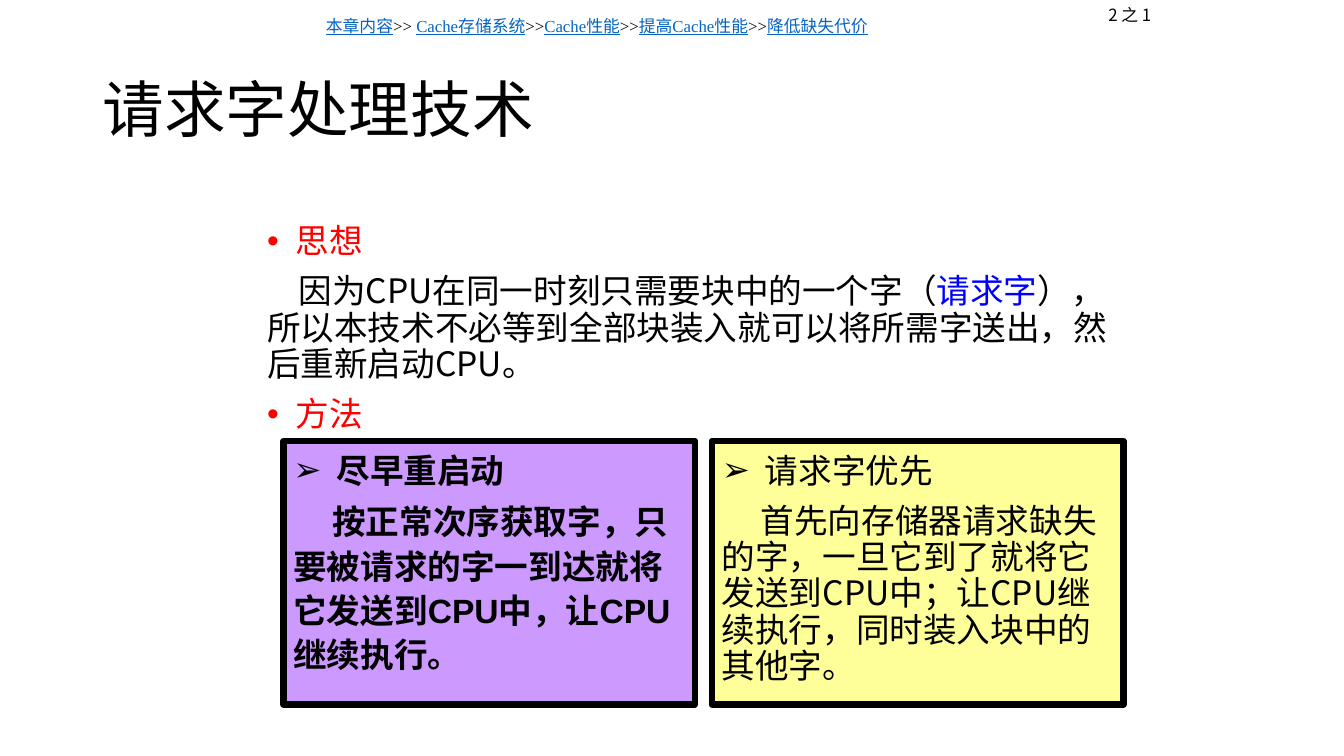
from pptx import Presentation
from pptx.dml.color import RGBColor
from pptx.enum.shapes import MSO_SHAPE
from pptx.enum.text import MSO_ANCHOR as Anchor, PP_ALIGN as Align
from pptx.oxml.ns import qn
from pptx.util import Emu, Pt
from lxml.etree import SubElement

PX = 9525  # EMU per px, slide is 1280 x 720 px
SANS = "Noto Sans CJK SC"
BLACK, RED, BLUE, LINK = "000000", "FF0000", "0000FF", "0563C1"


def px(length):
    return Emu(length * PX)


def color(value):
    return RGBColor.from_string(value)


def place(shape, box):
    shape.left, shape.top, shape.width, shape.height = map(px, box)


def add_run(paragraph, text, size, tone=BLACK, font=SANS, bold=False, underline=False):
    run = paragraph.add_run()
    run.text = text
    run.font.size, run.font.name = Pt(size), font
    run.font.bold, run.font.underline = bold, underline
    run.font.color.rgb = color(tone)
    SubElement(run.font._element, qn("a:ea"), typeface=SANS)


def set_indent(paragraph, left, first):
    properties = paragraph._p.get_or_add_pPr()
    properties.set("marL", str(px(left)))
    properties.set("indent", str(px(first)))
    return properties


def set_bullet(paragraph, char, tone, hanging):
    properties = set_indent(paragraph, hanging, -hanging)
    bullet_color = SubElement(properties, qn("a:buClr"))
    SubElement(bullet_color, qn("a:srgbClr"), val=tone)
    SubElement(properties, qn("a:buFont"), typeface="Arial")
    SubElement(properties, qn("a:buChar"), char=char)


def next_paragraph(frame, spacing, before):
    """Return the empty first paragraph, or a new one with space before it."""
    paragraph = frame.paragraphs[0]
    if paragraph.runs:
        paragraph = frame.add_paragraph()
        paragraph.space_before = Pt(before)
    paragraph.alignment = Align.LEFT
    paragraph.line_spacing = spacing
    return paragraph


def add_text_box(slide, box):
    shape = slide.shapes.add_textbox(*map(px, box))
    shape.text_frame.word_wrap = True
    return shape.text_frame


def add_title(slide, text):
    title = slide.shapes.title
    place(title, (88, 38, 1104, 139))
    title.text_frame.vertical_anchor = Anchor.MIDDLE
    add_run(next_paragraph(title.text_frame, 0.9, 0), text, 44)


def add_idea(slide):
    frame = add_text_box(slide, (245, 209, 843, 211))

    def heading(text):
        paragraph = next_paragraph(frame, 0.9, 10)
        set_bullet(paragraph, "•", RED, 27)
        add_run(paragraph, text, 24, RED)

    heading("思想")
    reason = next_paragraph(frame, 0.9, 10)
    set_indent(reason, 0, 30)
    add_run(reason, "因为CPU在同一时刻只需要块中的一个字（", 24)
    add_run(reason, "请求字", 24, BLUE)
    add_run(reason, "），所以本技术不必等到全部块装入就可以将所需字送出，然后重新启动CPU。", 24)
    heading("方法")


def add_method(slide, left, fill, heading, text, spacing, before, font=SANS, bold=False):
    shape = slide.shapes.add_shape(MSO_SHAPE.RECTANGLE, *map(px, (left, 420, 392, 251)))
    shape.shadow.inherit = False
    shape.fill.solid()
    shape.fill.fore_color.rgb = color(fill)
    shape.line.color.rgb = color(BLACK)
    shape.line.width = Pt(4.5)
    frame = shape.text_frame
    frame.word_wrap = True
    frame.vertical_anchor = Anchor.TOP
    paragraph = next_paragraph(frame, 1.1, 0)
    set_bullet(paragraph, "➢", BLACK, 41)
    add_run(paragraph, heading, 24, font=font, bold=bold)
    paragraph = next_paragraph(frame, spacing, before)
    set_indent(paragraph, 0, 37)
    add_run(paragraph, text, 24, font=font, bold=bold)


def add_breadcrumb(slide, steps):
    paragraph = add_text_box(slide, (301, 10, 795, 29)).paragraphs[0]
    for index, step in enumerate(steps):
        if index:
            add_run(paragraph, ">> " if index == 1 else ">>", 12, font="Times New Roman")
        add_run(paragraph, step, 12, LINK, "Times New Roman", underline=True)


def add_page_count(slide, text):
    paragraph = add_text_box(slide, (1032, 0, 88, 29)).paragraphs[0]
    paragraph.alignment = Align.CENTER
    add_run(paragraph, text, 12)


def main():
    presentation = Presentation()
    presentation.slide_width, presentation.slide_height = px(1280), px(720)
    slide = presentation.slides.add_slide(presentation.slide_layouts[5])

    # Title and explanation
    add_title(slide, "请求字处理技术")
    add_idea(slide)

    # The two methods side by side
    add_method(slide, 678, "FFFF99", "请求字优先",
               "首先向存储器请求缺失的字，一旦它到了就将它发送到CPU中；"
               "让CPU继续执行，同时装入块中的其他字。", 0.9, 10)
    add_method(slide, 270, "CC99FF", "尽早重启动",
               "按正常次序获取字，只要被请求的字一到达就将它发送到CPU中，"
               "让CPU继续执行。", 1.1, 5, font="Arial", bold=True)

    # Navigation line and page count
    add_breadcrumb(slide, ["本章内容", "Cache存储系统", "Cache性能",
                           "提高Cache性能", "降低缺失代价"])
    add_page_count(slide, "2 之 1")
    presentation.save("out.pptx")


if __name__ == "__main__":
    main()
